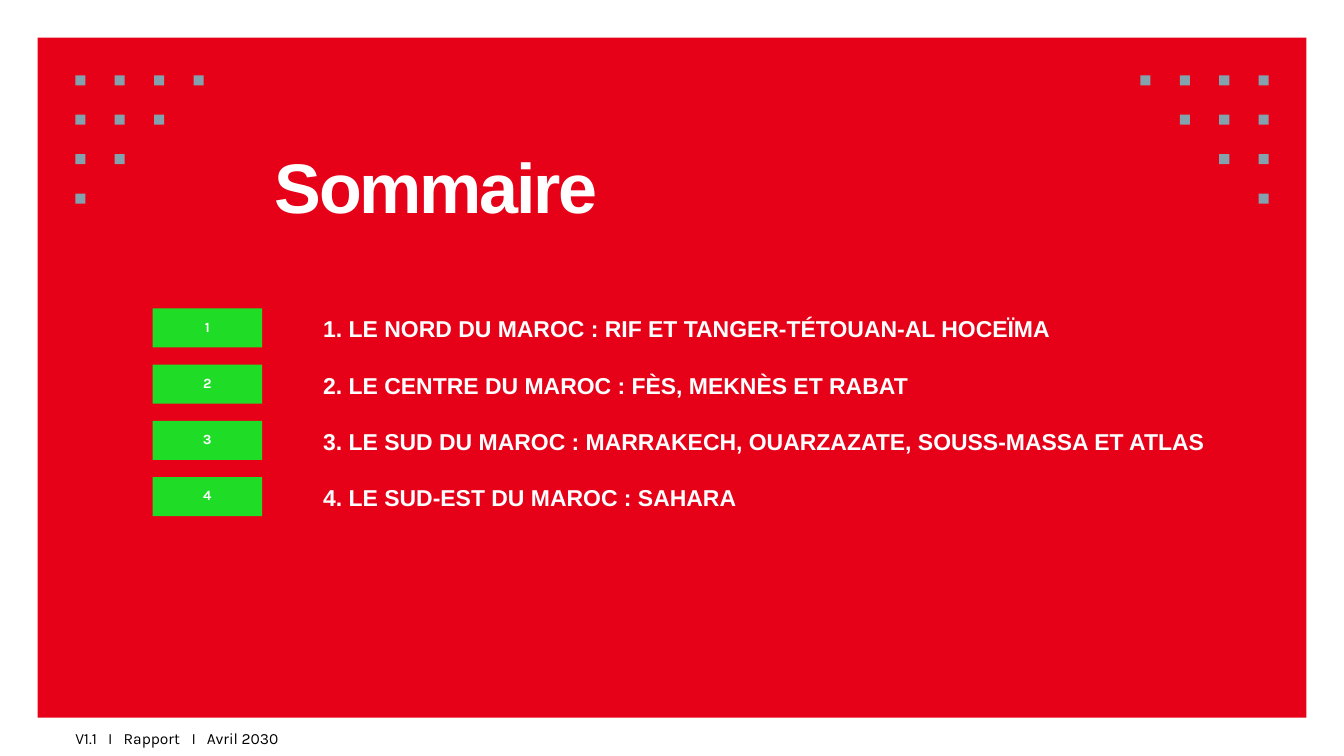
from lxml import etree
from pptx import Presentation
from pptx.dml.color import RGBColor
from pptx.enum.shapes import MSO_SHAPE
from pptx.enum.text import MSO_ANCHOR, PP_ALIGN
from pptx.oxml.ns import qn
from pptx.util import Inches, Pt

RECT = MSO_SHAPE.RECTANGLE
CENTER = PP_ALIGN.CENTER
MIDDLE = MSO_ANCHOR.MIDDLE
WIDTH = 20
DOT = 0.15
EDGE = 1.12
ITEMS = [
    "1. LE NORD DU MAROC : RIF ET TANGER-TÉTOUAN-AL HOCEÏMA",
    "2. LE CENTRE DU MAROC : FÈS, MEKNÈS ET RABAT",
    "3. LE SUD DU MAROC : MARRAKECH, OUARZAZATE, SOUSS-MASSA ET ATLAS",
    "4. LE SUD-EST DU MAROC : SAHARA",
]

prs = Presentation()
prs.slide_width, prs.slide_height = Inches(WIDTH), Inches(11.25)
slide = prs.slides.add_slide(prs.slide_layouts[6])


def add_box(x, y, w, h, fill=None):
    """Add a filled rectangle, or a text box when there is no fill."""
    place = [Inches(v) for v in (x, y, w, h)]
    if fill:
        box = slide.shapes.add_shape(RECT, *place)
        box.shadow.inherit = False
        box.fill.solid()
        box.fill.fore_color.rgb = RGBColor.from_string(fill)
        box.line.fill.background()
    else:
        box = slide.shapes.add_textbox(*place)
    return box


def write(box, text, font, size, lead, color="FFFFFF", bold=True, inset=0, tabs=()):
    """Fill a box with one paragraph; lead is the line height in points."""
    frame = box.text_frame
    frame.word_wrap = True
    frame.margin_left = frame.margin_right = Inches(inset)
    frame.margin_top = frame.margin_bottom = Inches(inset)
    para = frame.paragraphs[0]
    para.text = text
    if tabs:
        stops = etree.SubElement(para._p.get_or_add_pPr(), qn("a:tabLst"))
        for pos in tabs:
            etree.SubElement(stops, qn("a:tab"), pos=str(Inches(pos)), algn="l")
    para.line_spacing = Pt(lead)
    para.font.name = font
    para.font.size = Pt(size)
    para.font.bold = bold
    para.font.color.rgb = RGBColor.from_string(color)
    return para


# Footer and red panel
foot = add_box(EDGE, 10.8, 4.18, 0.32)
write(foot, "V1.1\tI\tRapport\tI\tAvril 2030", "Karla", 16.7, 23.4, "000000", False,
      tabs=(0.49, 0.72, 1.73, 1.96))
add_box(0.56, 0.56, 18.88, 10.12, "E60118")

# Triangles of dots in the top corners, mirrored
for row in range(4):
    for col in range(4 - row):
        x, y = EDGE + col * 1.76 / 3, EDGE + row * 1.76 / 3
        for left in (x, WIDTH - DOT - x):
            add_box(left, y, DOT, DOT, "84A2AE")

title = write(add_box(4.09, 1.92, 7.72, 1.52), "Sommaire", "Arial", 75.1, 105.2)
title.font._rPr.set("spc", "-250")

# Numbered entries
for i, item in enumerate(ITEMS):
    top = 4.59 + i * 2.51 / 3
    write(add_box(4.81, top + 0.03, 13.37, 0.5), item, "Arial", 24.6, 34.4)
    badge = add_box(2.27, top, 1.63, 0.58, "1FDD26")
    write(badge, str(i + 1), "Karla", 15, 21, inset=0.06).alignment = CENTER
    badge.text_frame.vertical_anchor = MIDDLE
    badge.text_frame.margin_bottom = Inches(0.14)

prs.save("out.pptx")
